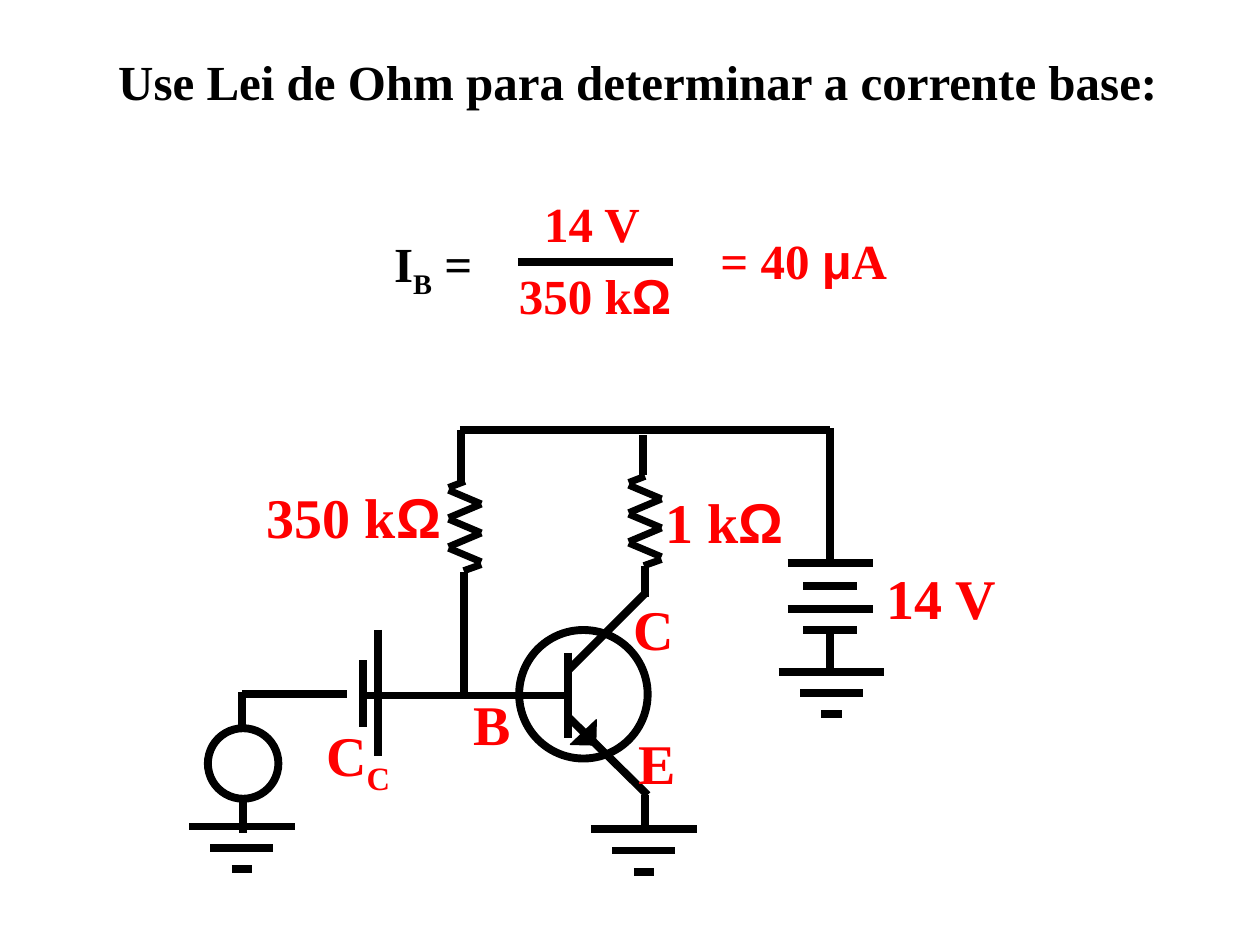
from lxml.etree import SubElement as Sub
from pptx import Presentation
from pptx.dml.color import RGBColor as Rgb
from pptx.enum.shapes import MSO_CONNECTOR as Link, MSO_SHAPE as Form
from pptx.enum.text import MSO_AUTO_SIZE as Fit
from pptx.oxml.ns import qn
from pptx.util import Cm, Pt

INK = {"black": "000000", "red": "FF0000"}
SERIF, SANS = "Times New Roman", "Arial"

# Labels: left, top, width, height (inches), size, colour, runs
# A run is text, font and baseline shift
LABELS = [
    (0.84, 0.36, 8.47, 0.52, 28, "black",
     [("Use Lei de Ohm para determinar a corrente base:", SERIF, 0)]),
    (3.03, 1.8, 0.84, 0.52, 28, "black",
     [("I", SERIF, 0), ("B", SERIF, -25), (" =", SERIF, 0)]),
    (4.22, 1.49, 0.97, 0.52, 28, "red", [("14 V", SERIF, 0)]),
    (4.02, 2.06, 1.42, 0.52, 28, "red", [("350 k", SERIF, 0), ("Ω", SANS, 0)]),
    (5.62, 1.78, 1.53, 0.52, 28, "red",
     [("= 40 ", SERIF, 0), ("μ", SANS, 0), ("A", SERIF, 0)]),
    (2.02, 3.78, 1.59, 0.58, 32, "red", [("350 k", SERIF, 0), ("Ω", SANS, 0)]),
    (5.18, 3.82, 1.15, 0.58, 32, "red", [("1 k", SERIF, 0), ("Ω", SANS, 0)]),
    (6.94, 4.42, 1.08, 0.58, 32, "red", [("14 V", SERIF, 0)]),
    (2.49, 5.67, 0.74, 0.58, 32, "red", [("C", SERIF, 0), ("C", SERIF, -25)]),
    (3.66, 5.42, 0.5, 0.58, 32, "red", [("B", SERIF, 0)]),
    (4.93, 4.67, 0.52, 0.58, 32, "red", [("C", SERIF, 0)]),
    (4.97, 5.73, 0.5, 0.58, 32, "red", [("E", SERIF, 0)]),
]

# Straight wires: x1, y1, x2, y2
WIRES = [
    (4.11, 2.08, 5.34, 2.08),  # fraction bar
    (4.52, 5.7, 5.14, 6.31),   # emitter
    (4.51, 5.32, 5.13, 4.7),   # collector
    (4.51, 5.18, 4.51, 5.86),  # base plate
    (4.5, 5.52, 2.9, 5.52),    # base lead
    (2.88, 5.24, 2.88, 5.77),  # capacitor plate
    (3.68, 4.54, 3.68, 5.51),
    (5.12, 4.49, 5.12, 4.74),
    (5.12, 6.31, 5.12, 6.56),
    (6.59, 5.36, 6.59, 5.02),
    (3.65, 3.41, 6.59, 3.41),  # supply rail
    (6.59, 3.4, 6.59, 4.45),
    (3.66, 3.41, 3.66, 3.82),
    (5.1, 3.77, 5.1, 3.45),
    (2.75, 5.51, 1.92, 5.51),
    (1.92, 5.49, 1.92, 5.76),
    (1.93, 6.34, 1.93, 6.61),
]
RINGS = [(4.12, 5, 1.02), (1.65, 5.78, 0.56)]  # transistor, source
COILS = [(3.56, 3.87), (4.99, 3.83)]           # resistor corners
ZIGZAG = [(0, 0, 0.13, -0.05), (0, 0.02, 0.26, 0.13), (0, 0.24, 0.26, 0.13),
          (0, 0.25, 0.26, 0.36), (0, 0.47, 0.26, 0.36), (0, 0.48, 0.26, 0.59),
          (0.12, 0.66, 0.26, 0.61)]
EARTHS = [(5.11, 6.58), (6.6, 5.33), (1.92, 6.56)]  # centre of top bar
BARS = [0.84, 0.5, 0.16]
CELL = [(4.47, 0.68), (4.65, 0.43), (4.83, 0.68), (5, 0.43)]  # y, width

# Curves: start point, then Bezier pieces of three points each
CURVES = [
    [(2.68, 5.24),
     (2.7, 5.26), (2.75, 5.33), (2.76, 5.39),
     (2.78, 5.45), (2.78, 5.55), (2.76, 5.61),
     (2.75, 5.67), (2.71, 5.72), (2.69, 5.75)],
    [(1.77, 6.06),
     (1.78, 6.04), (1.81, 5.98), (1.82, 5.96),
     (1.83, 5.94), (1.84, 5.93), (1.85, 5.94),
     (1.86, 5.94), (1.87, 5.95), (1.89, 5.97),
     (1.9, 5.99), (1.92, 6.05), (1.93, 6.06),
     (1.94, 6.08), (1.97, 6.14), (1.98, 6.16),
     (1.99, 6.19), (2, 6.19), (2.01, 6.19),
     (2.02, 6.19), (2.03, 6.18), (2.05, 6.16),
     (2.06, 6.14), (2.08, 6.08), (2.09, 6.06)],
]

deck = Presentation()
deck.slide_width, deck.slide_height = Cm(25.4), Cm(19.05)
page = deck.slides.add_slide(deck.slide_layouts[6])
shapes = page.shapes


def size(*vals):
    return [Cm(v * 2.54) for v in vals]


def pen(item, width=4.5):
    item.line.color.rgb = Rgb.from_string(INK["black"])
    item.line.width = Pt(width)


def wire(x1, y1, x2, y2, width=4.5):
    item = shapes.add_connector(Link.STRAIGHT, *size(x1, y1, x2, y2))
    pen(item, width)
    Sub(item._element.spPr, qn("a:effectLst"))


def bar(mid, y, width):
    wire(mid - width / 2, y, mid + width / 2, y)


def trace(pts, steps=6):
    out = []
    for i in range(0, len(pts) - 1, 3):
        for k in range(1, steps + 1):
            t = k / steps
            mix = [(1 - t)**3, 3 * t * (1 - t)**2, 3 * t * t * (1 - t), t**3]
            out.append(tuple(sum(m * p[axis] for m, p in zip(mix, pts[i:i + 4]))
                             for axis in (0, 1)))
    return out


# Circles and curves
for x, y, side in RINGS:
    ring = shapes.add_shape(Form.OVAL, *size(x, y, side, side))
    ring.shadow.inherit = False
    ring.fill.background()
    pen(ring)
for pts in CURVES:
    pencil = shapes.build_freeform(*pts[0], scale=Cm(2.54))
    pencil.add_line_segments(trace(pts), close=False)
    curve = pencil.convert_to_shape()
    curve.shadow.inherit = False
    curve.fill.background()
    pen(curve)

# Emitter arrow
tip = shapes.add_shape(Form.RIGHT_TRIANGLE, *size(4.53, 5.71, 0.2, 0.2))
tip.rotation = 271.3
tip.shadow.inherit = False
tip.fill.solid()
tip.fill.fore_color.rgb = Rgb.from_string(INK["black"])
pen(tip, 0.75)

# Wires, resistors, earths and battery
for ends in WIRES:
    wire(*ends)
for x, y in COILS:
    for x1, y1, x2, y2 in ZIGZAG:
        wire(x + x1, y + y1, x + x2, y + y2, 4)
for mid, top in EARTHS:
    for i, width in enumerate(BARS):
        bar(mid, top + i * 0.17, width)
for y, width in CELL:
    bar(6.59, y, width)

# Labels
for x, y, w, h, points, tint, runs in LABELS:
    frame = shapes.add_textbox(*size(x, y, w, h)).text_frame
    frame.word_wrap = False
    frame.auto_size = Fit.SHAPE_TO_FIT_TEXT
    for text, face, shift in runs:
        run = frame.paragraphs[0].add_run()
        run.text = text
        font = run.font
        font.name, font.size, font.bold = face, Pt(points), True
        font.color.rgb = Rgb.from_string(INK[tint])
        if shift:
            font._element.set("baseline", str(shift * 1000))

deck.save("out.pptx")
